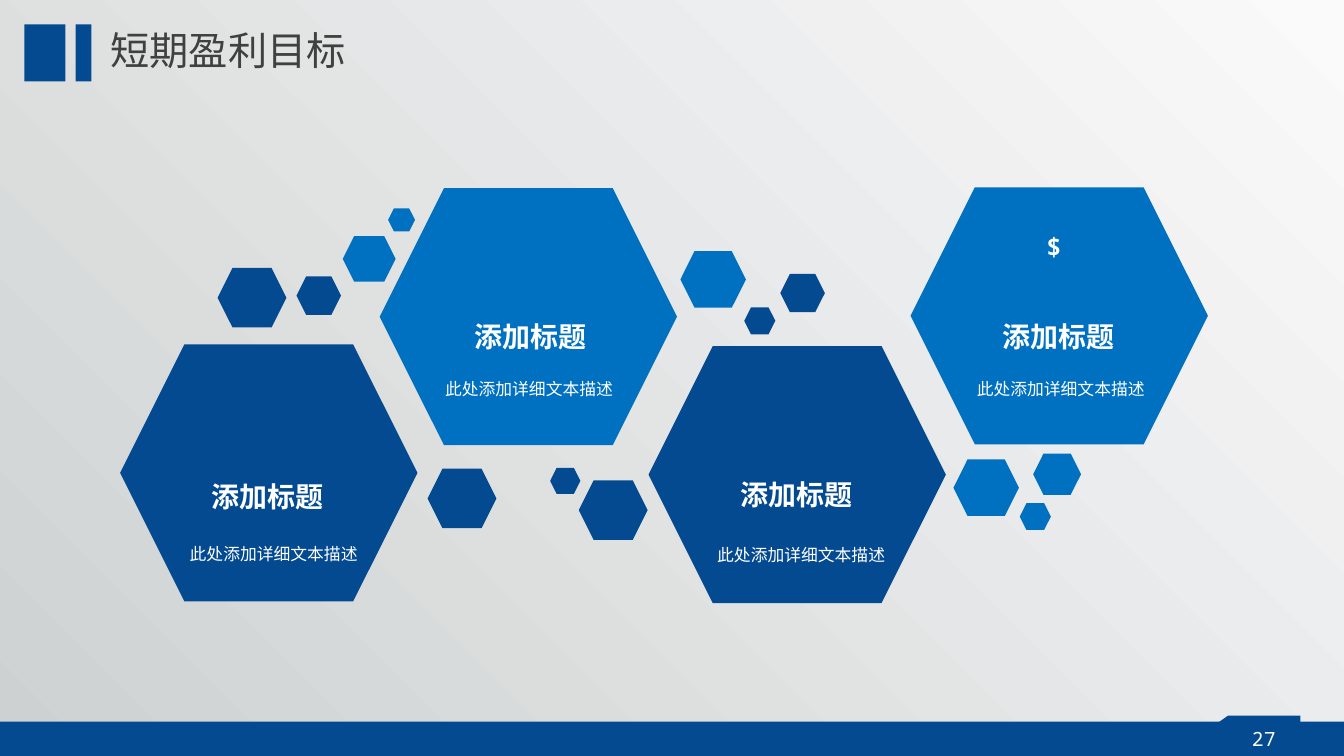
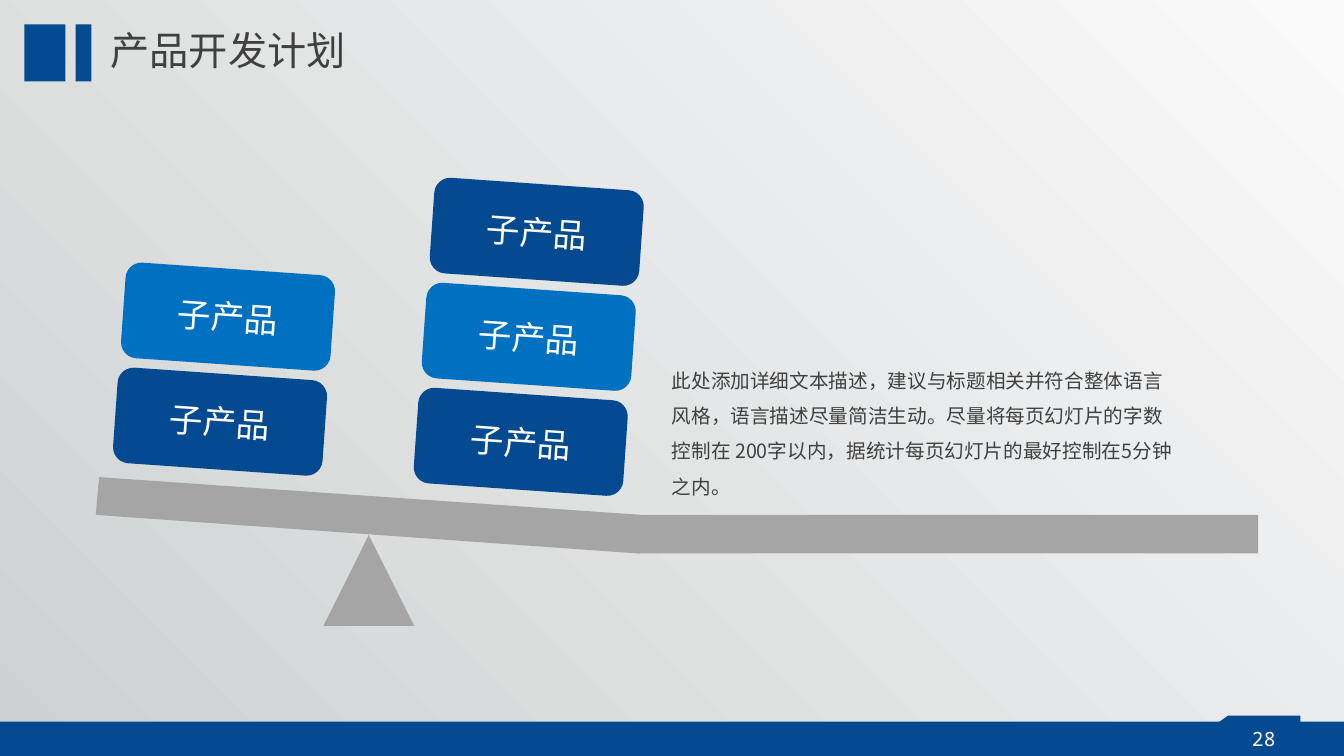
from pptx import Presentation
from pptx import util as u
from pptx.dml import color as dml
from pptx.enum import shapes, text
from lxml import etree

# Shared look
NAVY, BLUE, GREY, INK, WHITE = "044A91", "0070C0", "A5A5A5", "404040", "FFFFFF"
MONO, SANS = "Noto Sans Mono", "Noto Sans CJK SC"
KIND, ALIGN, ANCHOR = shapes.MSO_SHAPE, text.PP_ALIGN, text.MSO_ANCHOR
DRAWING = "http://schemas.openxmlformats.org/drawingml/2006/main"

deck = Presentation()
deck.slide_width, deck.slide_height = u.Inches(13.33), u.Inches(7.5)
COLUMN, ROW = deck.slide_width / 160, deck.slide_height / 90


def paint(target, hex_colour):
    """Colour a font, or fill a shape and drop its outline and shadow."""
    if hasattr(target, "shadow"):
        target.shadow.inherit = False
        target.line.fill.background()
        target = target.fill
        target.solid()
        target.fore_color.rgb = dml.RGBColor.from_string(hex_colour)
    else:
        target.color.rgb = dml.RGBColor.from_string(hex_colour)


def put(page, kind, cell, colour, words="", fmt=None):
    """Place a shape, or a text box when kind is None, on the grid."""
    left, top, width, height = cell
    place = [int(left * COLUMN), int(top * ROW), int(width * COLUMN), int(height * ROW)]
    if kind is None:
        box = page.shapes.add_textbox(*place)
    else:
        box = page.shapes.add_shape(kind, *place)
        paint(box, colour)
    if words:
        style = {"frame": {}, "para": {}, "font": {}, **fmt}
        frame = box.text_frame
        frame.word_wrap = True
        para = frame.paragraphs[0]
        span = para.add_run()
        span.text = words
        for target, part in ((frame, "frame"), (para, "para"), (span.font, "font")):
            for name, value in style[part].items():
                setattr(target, name, value)
        paint(span.font, style.get("ink", WHITE))
        # East Asian glyphs come from the sans family
        etree.SubElement(span.font._element, f"{{{DRAWING}}}ea", typeface=SANS)
    return box


middle = {"vertical_anchor": ANCHOR.MIDDLE}
flush = {**middle, "margin_top": 0, "margin_bottom": 0}
centred = {"alignment": ALIGN.CENTER}
title_style = {"frame": middle, "para": {"line_spacing": 0.9},
               "font": {"name": MONO, "size": u.Pt(28)}, "ink": INK}
number_style = {"frame": {"word_wrap": False}, "para": centred,
                "font": {"name": MONO, "size": u.Pt(14)}}
heading_style = {"para": centred,
                 "font": {"name": MONO, "size": u.Pt(20), "bold": True}}
caption_style = {"font": {"name": MONO, "size": u.Pt(12)}}
symbol_style = {"font": {"name": MONO, "size": u.Pt(18), "bold": True}}
tile_style = {"frame": flush, "para": centred,
              "font": {"name": SANS, "size": u.Pt(24)}}
body_style = {"frame": flush, "para": {"line_spacing": 1.5},
              "font": {"name": SANS, "size": u.Pt(14)}, "ink": INK}

# Background, footer band, number tab and title on every page
pages = []
for number, title in ((27, "短期盈利目标"), (28, "产品开发计划")):
    page = deck.slides.add_slide(deck.slide_layouts[6])
    backdrop = page.background.fill
    backdrop.gradient()
    backdrop.gradient_angle = 45
    for stop, colour in zip(backdrop.gradient_stops, ("CED1D2", "FAFAFA")):
        stop.color.rgb = dml.RGBColor.from_string(colour)
    for cell in ((0, 85.9, 160, 4.1), (146.2, 85.2, 8.6, 4.8),
                 (2.9, 2.9, 4.9, 6.8), (9, 2.9, 1.9, 6.8)):
        put(page, KIND.RECTANGLE, cell, NAVY)
    fold = put(page, KIND.RIGHT_TRIANGLE, (143.8, 85.2, 2.4, 1.7), NAVY)
    fold._element.spPr.xfrm.set("flipH", "1")
    put(page, None, (147.8, 85.9, 5.3, 4.1), None, str(number), number_style)
    put(page, None, (12, 2.9, 63, 6.8), None, title, title_style)
    pages.append(page)
goals, plan = pages

# Small hexagons: left, top, width
HEX_RATIO = 0.864
bubbles = {
    NAVY: ((25.9, 31.9, 8.2), (50.9, 55.8, 8.2), (68.9, 57.2, 8.2), (92.9, 32.6, 5.3),
           (65.5, 55.7, 3.6), (88.6, 36.6, 3.7), (35.3, 32.9, 5.3)),
    BLUE: ((81, 29.9, 7.8), (46.2, 24.8, 3.2), (40.8, 28.1, 6.3), (113.5, 54.7, 7.8),
           (123, 54, 5.7), (121.4, 59.9, 3.7)),
}
for colour, spots in bubbles.items():
    for left, top, width in spots:
        put(goals, KIND.HEXAGON, (left, top, width, width * HEX_RATIO), colour)

# Large hexagons, each with a heading and a caption
for colour, hexagon, heading, caption in (
    (NAVY, (14.3, 41), (20.9, 56.5), (21.4, 64.1)),
    (BLUE, (45.2, 22.4), (52.2, 37.4), (51.8, 44.5)),
    (NAVY, (77.2, 41.2), (83.9, 56.3), (84.2, 64.3)),
    (BLUE, (108.4, 22.3), (115.1, 37.4), (115.1, 44.5)),
):
    put(goals, KIND.HEXAGON, (*hexagon, 35.4, 30.6), colour)
    put(goals, None, (*heading, 21.9, 5.3), None, "添加标题", heading_style)
    put(goals, None, (*caption, 23, 3.6), None, "此处添加详细文本描述", caption_style)
put(goals, None, (123.4, 27, 4.2, 6.5), None, "$", symbol_style)

# Seesaw: flat beam, tilted beam and pivot
put(plan, KIND.RECTANGLE, (75.9, 61.3, 73.9, 4.6), GREY)
corners = [(11.8, 56.8), (76.4, 61.3), (76.1, 65.9), (11.4, 61.3)]
points = [(int(x * COLUMN), int(y * ROW)) for x, y in corners]
outline = plan.shapes.build_freeform(*points[0])
outline.add_line_segments(points[1:])
paint(outline.convert_to_shape(), GREY)
put(plan, KIND.ISOSCELES_TRIANGLE, (38.5, 63.7, 10.8, 10.8), GREY)

# Tilted stacks of tiles, from the bottom up
for left, bottom, count in ((13.7, 44.5, 2), (49.5, 46.9, 3)):
    for level in range(count):
        cell = (left + 0.95 * level, bottom - 12.5 * level, 25, 11.4)
        tile = put(plan, KIND.ROUNDED_RECTANGLE, cell, (NAVY, BLUE)[level % 2],
                   "子产品", tile_style)
        tile.rotation = 4

# Description
put(plan, None, (78.8, 41.2, 63, 19.4), None,
    "此处添加详细文本描述，建议与标题相关并符合整体语言风格，语言描述尽量简洁生动。"
    "尽量将每页幻灯片的字数控制在 200字以内，据统计每页幻灯片的最好控制在5分钟之内。",
    body_style)

deck.save("out.pptx")
